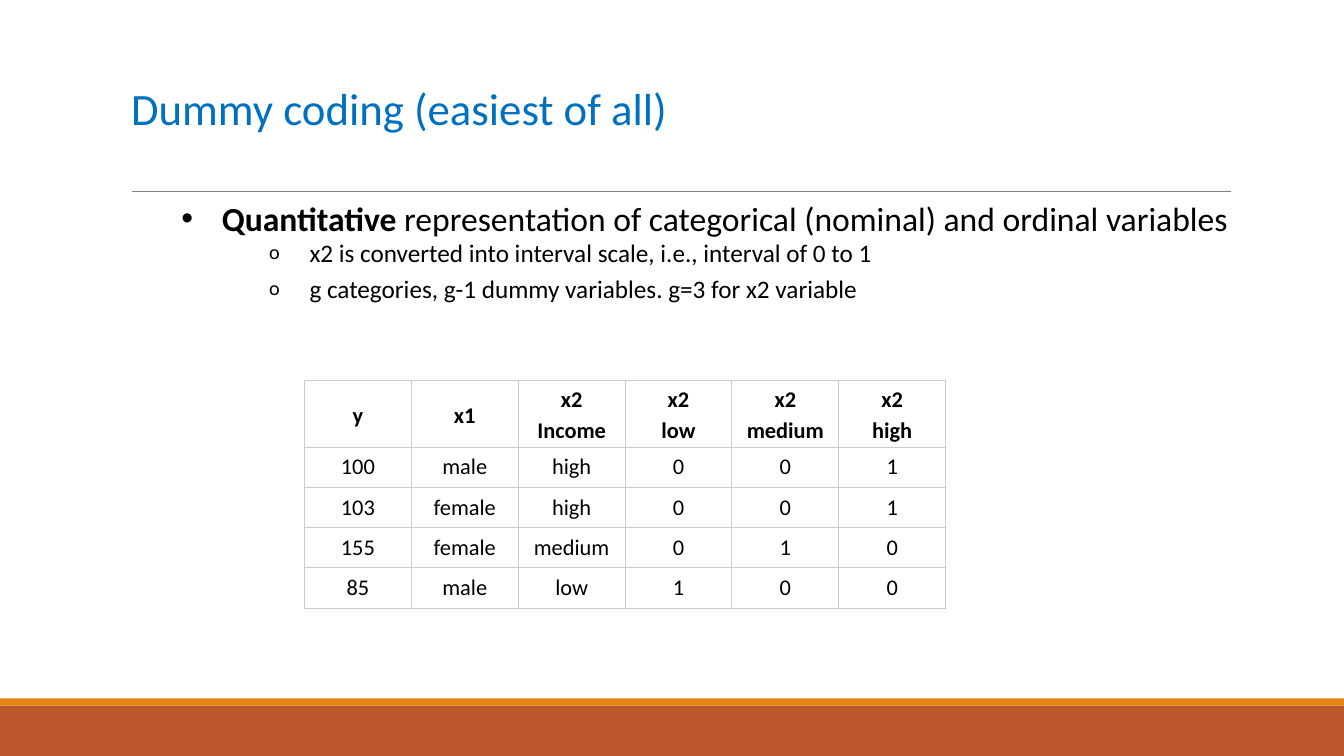
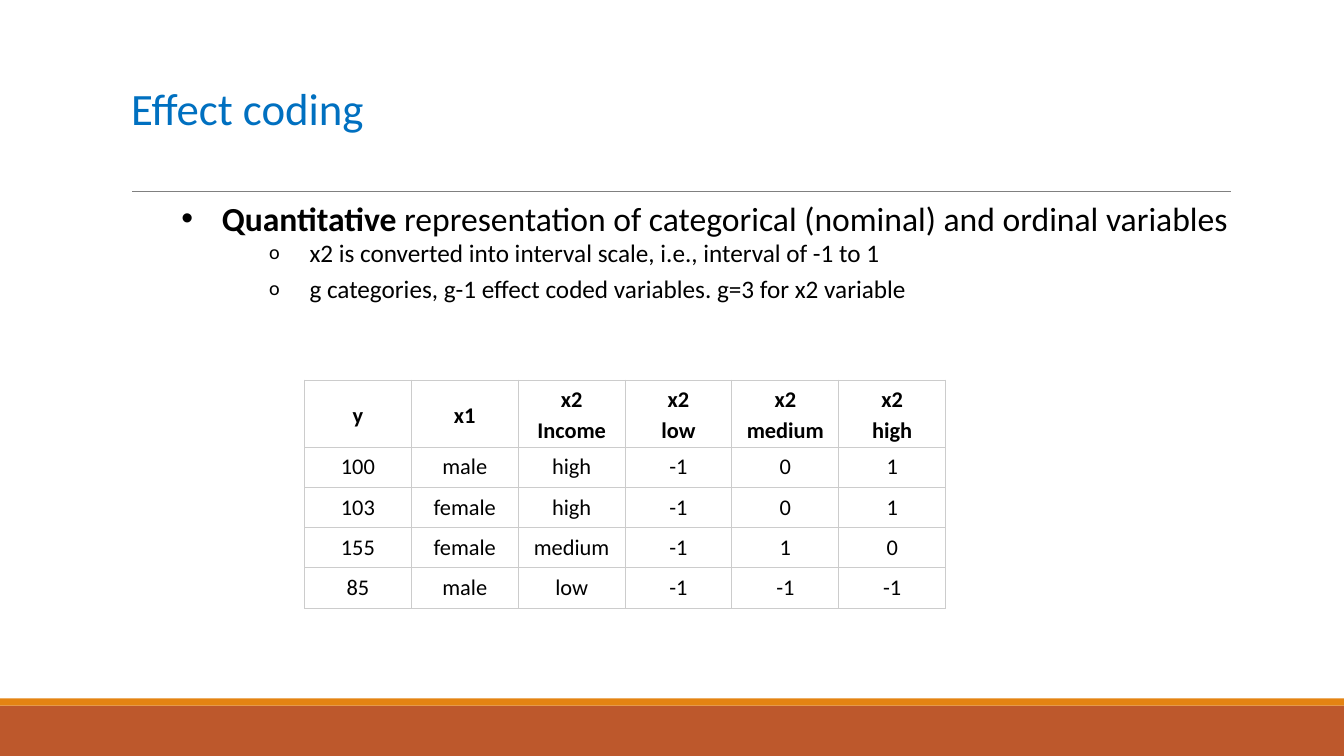
from lxml import etree
from pptx import Presentation
from pptx.dml.color import RGBColor
from pptx.enum.shapes import MSO_CONNECTOR, MSO_SHAPE
from pptx.enum.text import MSO_ANCHOR, MSO_AUTO_SIZE, PP_ALIGN
from pptx.oxml.ns import qn
from pptx.util import Emu, Pt

RECTANGLE = MSO_SHAPE.RECTANGLE
STRAIGHT = MSO_CONNECTOR.STRAIGHT
TOP, MIDDLE = MSO_ANCHOR.TOP, MSO_ANCHOR.MIDDLE
LEFT, CENTER = PP_ALIGN.LEFT, PP_ALIGN.CENTER
NO_AUTOFIT = MSO_AUTO_SIZE.NONE

# Shared style: 100 px to the inch
EMU_PER_PX = 9144
PAGE_WIDTH, PAGE_HEIGHT = 1333, 750
TITLE_ONLY = 5
FONT = "Calibri"
BLACK, WHITE = "000000", "FFFFFF"
TITLE_BLUE, RULE_GREY, BORDER_GREY = "0070C0", "808080", "CCCCCC"
BANDS = [(700, 50, "BD582C"), (693, 7, "E48312")]

# Bullet levels: text indent, bullet symbol, bullet font, bullet size in percent
HANGING = 40
BULLETS = [(100, "•", "Arial", 100), (187, "o", FONT, 80)]

HEADERS = ["y", "x1", "x2\nIncome", "x2\nlow", "x2\nmedium", "x2\nhigh"]
CASES = [
    ["100", "male", "high"],
    ["103", "female", "high"],
    ["155", "female", "medium"],
    ["85", "male", "low"],
]
DUMMY_CODES = ["0 0 1", "0 0 1", "0 1 0", "1 0 0"]
EFFECT_CODES = ["-1 0 1", "-1 0 1", "-1 1 0", "-1 -1 -1"]


def px(length):
    return Emu(length * EMU_PER_PX)


def color(hex_string):
    return RGBColor.from_string(hex_string)


def set_frame(frame, anchor, insets):
    frame.word_wrap = True
    frame.auto_size = NO_AUTOFIT
    frame.vertical_anchor = anchor
    frame.margin_left = frame.margin_right = px(insets[0])
    frame.margin_top = frame.margin_bottom = px(insets[1])


def add_text(para, text, size, bold=False, fill=BLACK, align=LEFT,
             line_spacing=1.0, after=0):
    para.alignment = align
    para.line_spacing = line_spacing
    para.space_before = Pt(0)
    para.space_after = Pt(after)
    span = para.add_run()
    span.text = text
    span.font.name = FONT
    span.font.size = Pt(size)
    span.font.bold = bold
    span.font.color.rgb = color(fill)


def set_bullet(para, level):
    indent, symbol, font, percent = BULLETS[level]
    para.level = level
    properties = para._p.get_or_add_pPr()
    properties.set("marL", str(px(indent)))
    properties.set("indent", str(px(-HANGING)))
    for tag, name, value in [("a:buSzPct", "val", str(percent * 1000)),
                             ("a:buFont", "typeface", font),
                             ("a:buChar", "char", symbol)]:
        etree.SubElement(properties, qn(tag)).set(name, value)


def add_bands(page):
    for top, height, fill in BANDS:
        band = page.shapes.add_shape(
            RECTANGLE, 0, px(top), px(PAGE_WIDTH), px(height))
        band.shadow.inherit = False
        band.fill.solid()
        band.fill.fore_color.rgb = color(fill)
        band.line.fill.background()


def add_rule(page):
    rule = page.shapes.add_connector(
        STRAIGHT, px(131), px(190), px(1221), px(190))
    rule.line.color.rgb = color(RULE_GREY)
    rule.line.width = Pt(0.5)
    etree.SubElement(rule._element.spPr, qn("a:effectLst"))


def set_title(page, text):
    title = page.shapes.title
    title.left, title.top = px(120), px(31)
    title.width, title.height = px(1100), px(159)
    set_frame(title.text_frame, MIDDLE, (10, 5))
    add_text(title.text_frame.paragraphs[0], text, 32, fill=TITLE_BLUE,
             line_spacing=0.85)


def add_points(page, details):
    box = page.shapes.add_textbox(px(120), px(191), px(1100), px(118))
    frame = box.text_frame
    set_frame(frame, TOP, (0, 5))
    lead = frame.paragraphs[0]
    add_text(lead, "Quantitative", 24, bold=True)
    add_text(lead, " representation of categorical (nominal) and ordinal "
                   "variables", 24)
    set_bullet(lead, 0)
    for detail in details:
        para = frame.add_paragraph()
        add_text(para, detail, 18, after=4)
        set_bullet(para, 1)


def set_borders(cell):
    properties = cell._tc.get_or_add_tcPr()
    for side in ("a:lnL", "a:lnR", "a:lnT", "a:lnB"):
        border = etree.SubElement(properties, qn(side))
        border.set("w", str(Pt(0.75)))
        fill = etree.SubElement(border, qn("a:solidFill"))
        etree.SubElement(fill, qn("a:srgbClr")).set("val", BORDER_GREY)


def fill_cell(cell, text, is_header):
    set_borders(cell)
    cell.fill.solid()
    cell.fill.fore_color.rgb = color(WHITE)
    cell.vertical_anchor = MIDDLE
    cell.margin_left = cell.margin_right = px(3)
    cell.margin_top = cell.margin_bottom = px(2)
    frame = cell.text_frame
    for index, line in enumerate(text.split("\n")):
        para = frame.add_paragraph() if index else frame.paragraphs[0]
        add_text(para, line, 16, bold=is_header, align=CENTER,
                 line_spacing=1.15 if is_header else 1.0)


def add_coding_table(page, codes):
    rows = [HEADERS] + [case + code.split()
                        for case, code in zip(CASES, codes)]
    column_width, header_height, row_height = 106, 66, 40
    table = page.shapes.add_table(
        len(rows), len(HEADERS), px(302), px(377),
        px(column_width * len(HEADERS)),
        px(header_height + row_height * len(CASES))).table
    table.horz_banding = False
    for column in table.columns:
        column.width = px(column_width)
    for row_index, texts in enumerate(rows):
        is_header = row_index == 0
        table.rows[row_index].height = px(
            header_height if is_header else row_height)
        for column_index, text in enumerate(texts):
            fill_cell(table.cell(row_index, column_index), text, is_header)


def add_coding_page(deck, title, details, codes):
    page = deck.slides.add_slide(deck.slide_layouts[TITLE_ONLY])
    add_bands(page)
    add_rule(page)
    set_title(page, title)
    add_points(page, details)
    add_coding_table(page, codes)


def main():
    deck = Presentation()
    deck.slide_width, deck.slide_height = px(PAGE_WIDTH), px(PAGE_HEIGHT)
    add_coding_page(
        deck, "Dummy coding (easiest of all)",
        ["x2 is converted into interval scale, i.e., interval of 0 to 1",
         "g categories, g-1 dummy variables. g=3 for x2 variable"],
        DUMMY_CODES)
    add_coding_page(
        deck, "Effect coding",
        ["x2 is converted into interval scale, i.e., interval of -1 to 1",
         "g categories, g-1 effect coded variables. g=3 for x2 variable"],
        EFFECT_CODES)
    deck.save("out.pptx")


if __name__ == "__main__":
    main()
